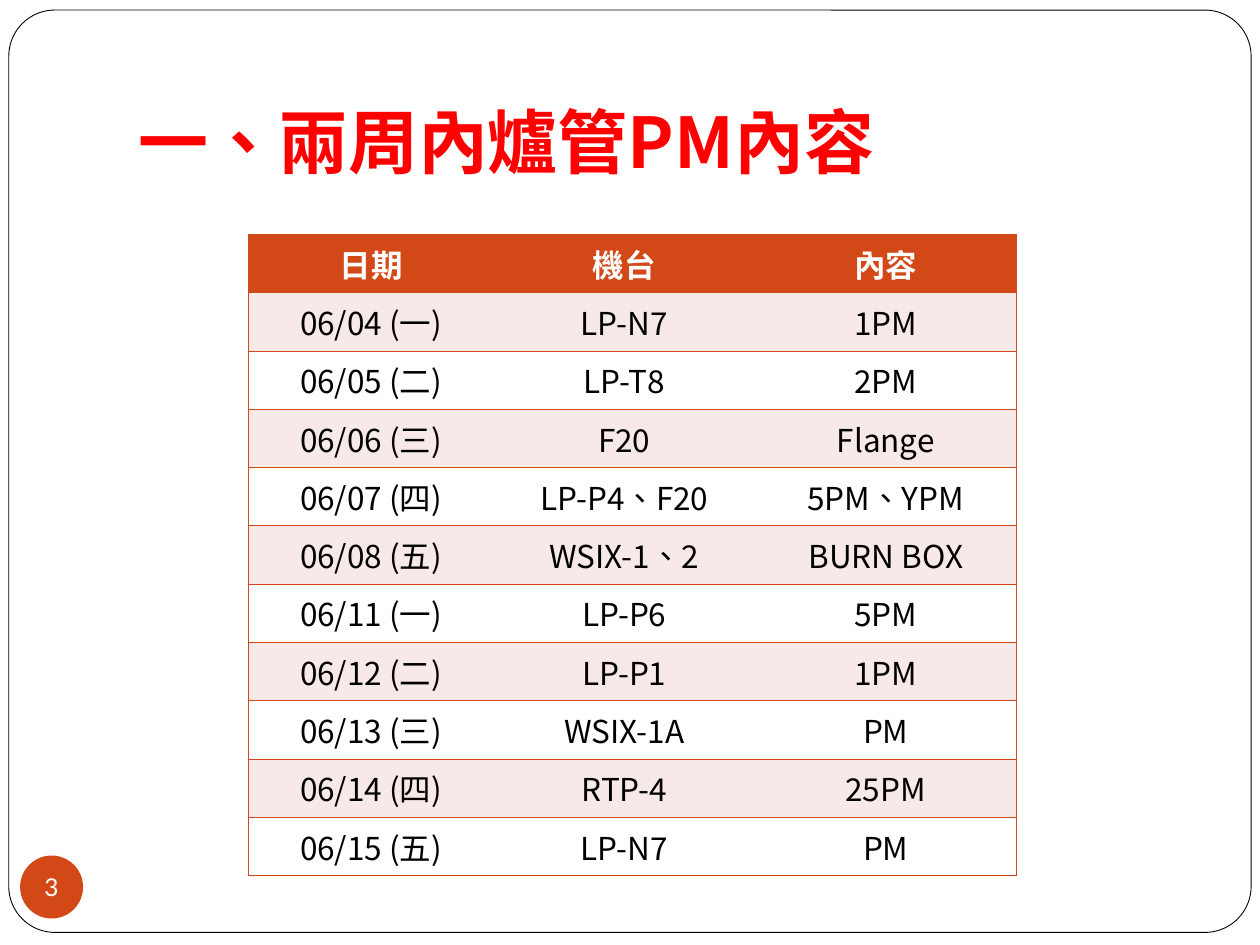
from lxml import etree
from pptx import Presentation
from pptx.dml.color import RGBColor
from pptx.enum.shapes import MSO_SHAPE
from pptx.enum.text import MSO_ANCHOR, PP_ALIGN
from pptx.oxml import parse_xml
from pptx.oxml.ns import nsdecls, qn
from pptx.util import Inches, Pt

ROUNDED, OVAL = MSO_SHAPE.ROUNDED_RECTANGLE, MSO_SHAPE.OVAL
CENTER, MIDDLE, BOTTOM = PP_ALIGN.CENTER, MSO_ANCHOR.MIDDLE, MSO_ANCHOR.BOTTOM
CJK, LATIN = "Noto Sans CJK SC", "Lato"
ORANGE, PINK, WHITE, BLACK, RED = "D34817", "F7E9E7", "FFFFFF", "000000", "FF0000"


def color(value):
    return RGBColor.from_string(value)


def style(paragraph, size, face, ink, bold=False):
    for run in paragraph.runs:
        run.font.size = Pt(size)
        run.font.bold = bold
        run.font.name = face
        run.font.color.rgb = color(ink)
        properties = run.font._element
        properties.set("lang", "zh-TW")
        etree.SubElement(properties, qn("a:ea")).set("typeface", face)


schedule = [
    ("日期", "機台", "內容"),
    ("06/04 (一)", "LP-N7", "1PM"),
    ("06/05 (二)", "LP-T8", "2PM"),
    ("06/06 (三)", "F20", "Flange"),
    ("06/07 (四)", "LP-P4、F20", "5PM、YPM"),
    ("06/08 (五)", "WSIX-1、2", "BURN BOX"),
    ("06/11 (一)", "LP-P6", "5PM"),
    ("06/12 (二)", "LP-P1", "1PM"),
    ("06/13 (三)", "WSIX-1A", "PM"),
    ("06/14 (四)", "RTP-4", "25PM"),
    ("06/15 (五)", "LP-N7", "PM"),
]
column_widths = [1.95, 2.07, 2.08]
table_height = 5.09

prs = Presentation()
prs.slide_width, prs.slide_height = Inches(10), Inches(7.5)
slide = prs.slides.add_slide(prs.slide_layouts[6])

frame = slide.shapes.add_shape(ROUNDED, Inches(0.07), Inches(0.08), Inches(9.86), Inches(7.32))
frame.adjustments[0] = 0.05
frame.shadow.inherit = False
frame.fill.solid()
frame.fill.fore_color.rgb = color(WHITE)
frame.line.color.rgb = color(BLACK)
frame.line.width = Pt(0.5)

title = slide.shapes.add_textbox(Inches(1), Inches(0.3), Inches(8.5), Inches(1.25)).text_frame
title.word_wrap = True
title.vertical_anchor = BOTTOM
title.margin_bottom = Inches(0.1)
title.text = "一、兩周內爐管PM內容"
style(title.paragraphs[0], 40, CJK, RED, True)

table = slide.shapes.add_table(
    len(schedule), len(column_widths), Inches(1.97), Inches(1.86),
    Inches(sum(column_widths)), Inches(table_height)).table
table.horz_banding = False
for column, width in zip(table.columns, column_widths):
    column.width = Inches(width)

last_column = len(column_widths) - 1
for r, entries in enumerate(schedule):
    header = r == 0
    table.rows[r].height = Inches(table_height / len(schedule))
    for c, entry in enumerate(entries):
        cell = table.cell(r, c)
        edges = {"lnL": c == 0, "lnR": c == last_column, "lnT": True, "lnB": True}
        for edge, visible in edges.items():
            paint = f'<a:solidFill><a:srgbClr val="{ORANGE}"/></a:solidFill>' if visible else "<a:noFill/>"
            cell._tc.get_or_add_tcPr().append(
                parse_xml(f'<a:{edge} {nsdecls("a")} w="{Pt(0.45)}">{paint}</a:{edge}>'))
        cell.fill.solid()
        cell.fill.fore_color.rgb = color(ORANGE if header else PINK if r % 2 else WHITE)
        cell.text = entry
        paragraph = cell.text_frame.paragraphs[0]
        paragraph.alignment = CENTER
        style(paragraph, 18, CJK, WHITE if header else BLACK, header)

badge = slide.shapes.add_shape(OVAL, Inches(0.16), Inches(6.79), Inches(0.5), Inches(0.5))
badge.shadow.inherit = False
badge.fill.solid()
badge.fill.fore_color.rgb = color(ORANGE)
badge.line.fill.background()
page = badge.text_frame
page.margin_left = page.margin_right = page.margin_top = page.margin_bottom = 0
page.word_wrap = False
page.vertical_anchor = MIDDLE
page.text = "3"
page.paragraphs[0].alignment = CENTER
style(page.paragraphs[0], 14, LATIN, WHITE)

prs.save("out.pptx")
